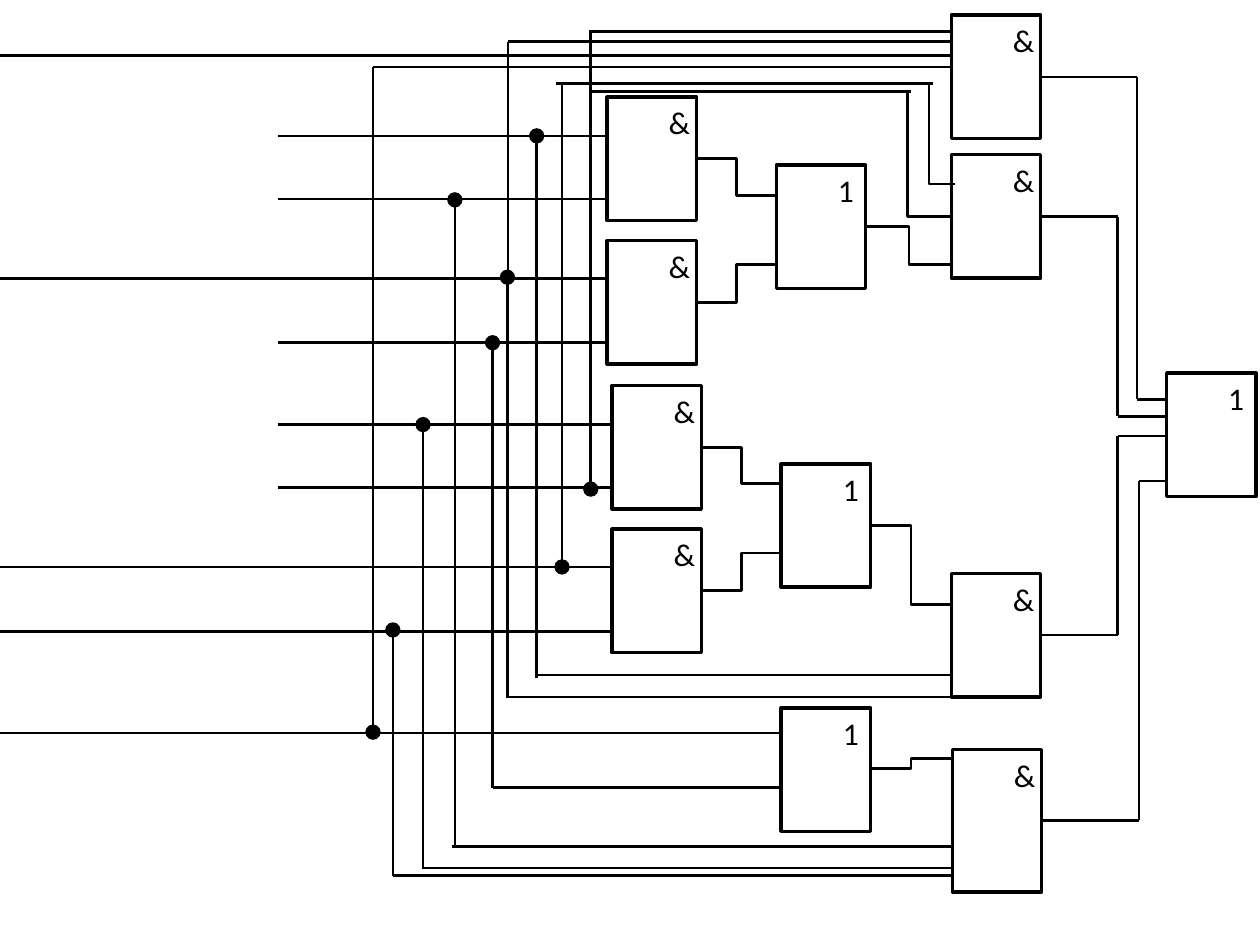
import dataclasses

import pptx
import pptx.dml.color
import pptx.enum.shapes
import pptx.enum.text
import pptx.oxml
import pptx.oxml.ns
import pptx.util

Cm = pptx.util.Cm
Pt = pptx.util.Pt
Connector = pptx.enum.shapes.MSO_CONNECTOR
Shape = pptx.enum.shapes.MSO_SHAPE


@dataclasses.dataclass(frozen=True)
class Theme:
    ink: pptx.dml.color.RGBColor = pptx.dml.color.RGBColor(0, 0, 0)
    font: str = "Calibri"
    label_size: float = 18
    gate_line: float = 2
    wire_line: float = 1.5


THEME = Theme()
GATE_WIDTH, GATE_HEIGHT = 1.8, 2.49
DOT_SIZE = 0.31

# left, top, symbol, height
GATES = [
    (12.24, 1.96, "&", GATE_HEIGHT), (12.24, 4.85, "&", GATE_HEIGHT),
    (15.65, 3.33, "1", GATE_HEIGHT), (19.18, 3.12, "&", GATE_HEIGHT),
    (12.34, 7.77, "&", GATE_HEIGHT), (12.34, 10.67, "&", GATE_HEIGHT),
    (15.75, 14.27, "1", GATE_HEIGHT), (19.18, 11.56, "&", GATE_HEIGHT),
    (15.75, 9.35, "1", GATE_HEIGHT), (19.2, 15.11, "&", 2.87),
    (19.18, 0.3, "&", GATE_HEIGHT), (23.52, 7.52, "1", GATE_HEIGHT),
]

# right, y, left
INPUTS = [
    (12.24, 2.74, 5.61), (12.24, 4.01, 5.61), (12.24, 5.61, 0),
    (12.24, 6.91, 5.61), (12.34, 8.56, 5.61), (12.34, 9.83, 5.61),
    (12.34, 11.43, 0), (12.34, 12.73, 0), (15.75, 14.78, 0), (19.2, 1.12, 0),
]
BRANCHES = [
    (19.18, 13.61, 10.82), (19.18, 14.05, 10.21), (18.36, 1.85, 11.91),
    (18.8, 1.68, 11.2), (15.75, 15.88, 9.93), (19.18, 17.07, 9.12),
    (19.18, 17.5, 8.51), (19.18, 17.65, 7.92), (19.15, 1.35, 7.52),
    (19.2, 0.84, 10.24), (19.2, 0.64, 11.91),
]

# x, height of the junction dot, far end of the vertical wire
TAPS = [
    (10.82, 2.74, 13.67), (10.23, 5.59, 14.05), (11.91, 9.86, 0.61),
    (11.33, 11.43, 1.68), (9.93, 6.91, 15.88), (9.17, 4.03, 17.07),
    (8.53, 8.56, 17.5), (7.92, 12.7, 17.65), (7.52, 14.76, 1.35),
]

# start x, start y, end x, end y, share of the width before the bend
ELBOWS = [
    (14.05, 3.2, 15.65, 3.94, 0.5), (14.05, 6.1, 15.65, 5.33, 0.5),
    (17.45, 4.57, 19.2, 5.33, 0.5), (14.15, 9.02, 15.75, 9.75, 0.5),
    (14.15, 11.91, 15.75, 11.15, 0.5), (17.55, 15.49, 19.18, 15.29, 0.5),
    (17.55, 10.59, 19.18, 12.19, 0.5), (18.29, 1.85, 19.18, 4.37, 0),
    (17.15, 1.68, 19.25, 3.71, 0.75),
]

# gate edge, gate y, rail x, y at the final gate
OUTPUTS = [
    (20.98, 1.55, 22.92, 8.05), (20.98, 4.37, 22.53, 8.39),
    (20.98, 12.8, 22.53, 8.79), (21.01, 16.54, 22.96, 9.7),
]


def add_wire(page, x1, y1, x2, y2, kind=Connector.STRAIGHT):
    wire = page.shapes.add_connector(kind, Cm(x1), Cm(y1), Cm(x2), Cm(y2))
    wire.line.color.rgb = THEME.ink
    wire.line.width = Pt(THEME.wire_line)
    properties = wire._element.spPr
    properties.append(pptx.oxml.parse_xml(
        f"<a:effectLst {pptx.oxml.ns.nsdecls('a')}/>"))
    return wire


def add_elbow(page, x1, y1, x2, y2, bend):
    wire = add_wire(page, x1, y1, x2, y2, Connector.ELBOW)
    guides = wire._element.spPr.prstGeom.get_or_add_avLst()
    guides.append(pptx.oxml.parse_xml(
        f'<a:gd {pptx.oxml.ns.nsdecls("a")} name="adj1" '
        f'fmla="val {round(bend * 100000)}"/>'))


def add_dot(page, x, y):
    """Mark a wire junction centred on x, y."""
    dot = page.shapes.add_shape(
        Shape.OVAL, Cm(x - DOT_SIZE / 2), Cm(y - DOT_SIZE / 2),
        Cm(DOT_SIZE), Cm(DOT_SIZE))
    dot.shadow.inherit = False
    dot.fill.solid()
    dot.fill.fore_color.rgb = THEME.ink
    dot.line.fill.background()


def add_gate(page, left, top, symbol, height):
    """Group a gate outline with the symbol in its upper right corner."""
    gate = page.shapes.add_group_shape()
    box = gate.shapes.add_textbox(Cm(left + 0.99), Cm(top), Cm(0.79), Cm(1.02))
    box.text_frame.word_wrap = False
    box.text_frame.auto_size = pptx.enum.text.MSO_AUTO_SIZE.SHAPE_TO_FIT_TEXT
    para = box.text_frame.paragraphs[0]
    span = para.add_run()
    span.text = symbol
    span.font.name = THEME.font
    span.font.size = Pt(THEME.label_size)
    span.font.color.rgb = THEME.ink

    outline = gate.shapes.add_shape(
        Shape.RECTANGLE, Cm(left), Cm(top), Cm(GATE_WIDTH), Cm(height))
    outline.shadow.inherit = False
    outline.fill.background()
    outline.line.color.rgb = THEME.ink
    outline.line.width = Pt(THEME.gate_line)


def add_output(page, edge, gate_y, rail, final_y):
    """Lead a gate's output along a vertical rail to the final gate."""
    add_wire(page, rail, gate_y, edge, gate_y)
    add_wire(page, rail, gate_y, rail, final_y)
    add_wire(page, 23.52, final_y, rail, final_y)


def main():
    deck = pptx.Presentation()
    deck.slide_width, deck.slide_height = Cm(25.4), Cm(19.05)
    page = deck.slides.add_slide(deck.slide_layouts[6])

    for gate in GATES:
        add_gate(page, *gate)
    for right, y, left in INPUTS + BRANCHES:
        add_wire(page, right, y, left, y)
    for x, y, end in TAPS:
        add_wire(page, x, end, x, y)
        add_dot(page, x, y)
    add_wire(page, 10.24, 5.71, 10.24, 0.84)  # the one tap that also runs up
    for elbow in ELBOWS:
        add_elbow(page, *elbow)
    for output in OUTPUTS:
        add_output(page, *output)

    deck.save("out.pptx")


if __name__ == "__main__":
    main()
